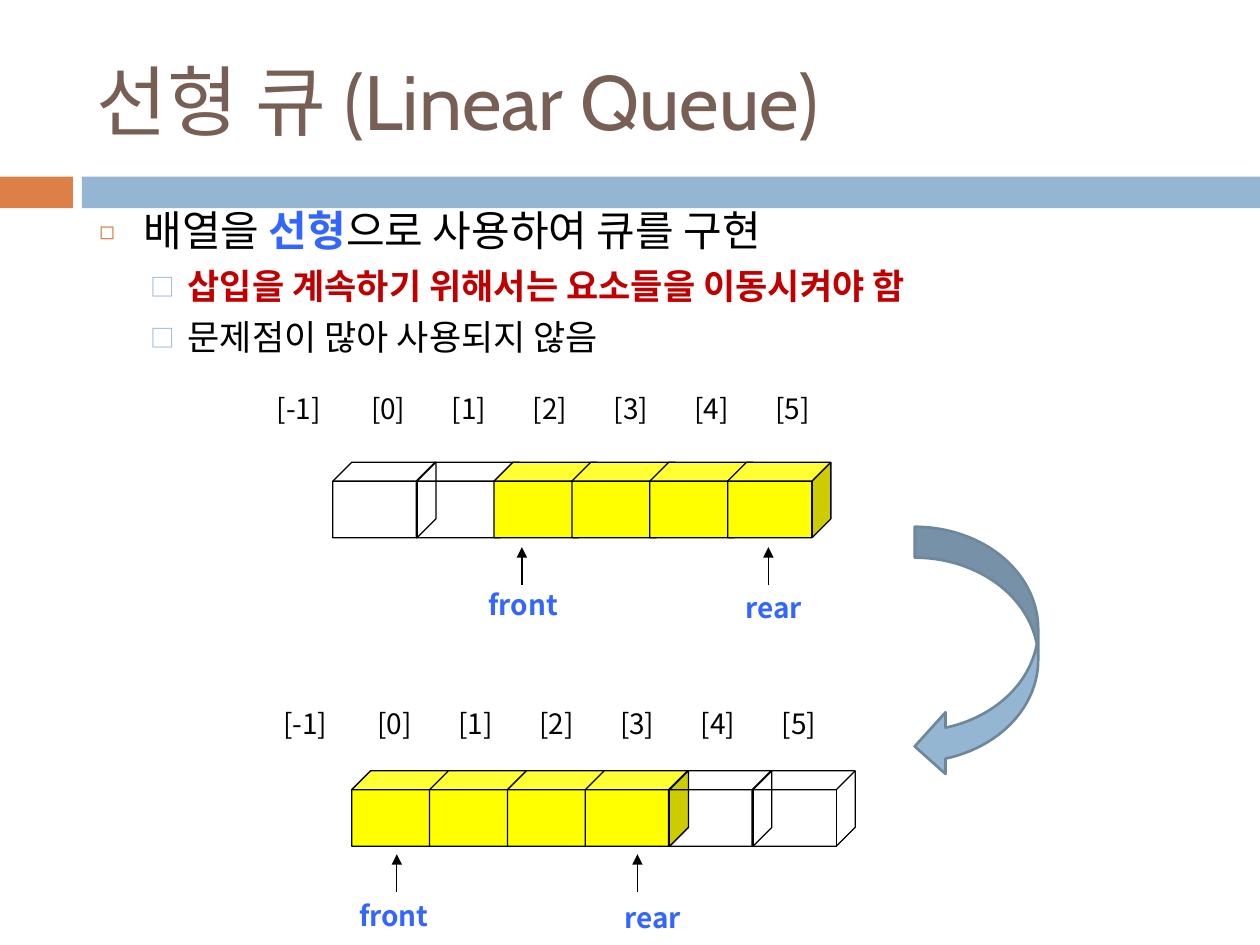
from lxml import etree
from pptx import Presentation
from pptx.dml.color import RGBColor
from pptx.enum.shapes import MSO_CONNECTOR, MSO_SHAPE
from pptx.enum.text import MSO_ANCHOR, MSO_AUTO_SIZE, PP_ALIGN
from pptx.oxml.ns import qn
from pptx.util import Cm, Pt

BLACK, BLUE, RED = "000000", "3366FF", "C00000"
ORANGE, SKY, YELLOW = "DD8047", "94B6D2", "FFFF00"
SANS = "Noto Sans CJK KR"

TITLE = "선형 큐 (Linear Queue)"
# level, runs of (text, colour, bold)
BULLETS = [
    (0, [("배열을 ", BLACK, False), ("선형", BLUE, True),
         ("으로 사용하여 큐를 구현", BLACK, False)]),
    (1, [("삽입을 계속하기 위해서는 요소들을 이동시켜야 함", RED, True)]),
    (1, [("문제점이 많아 사용되지 않음", BLACK, False)]),
]
# size, space before, left margin, hanging, bullet, bullet colour, bullet percent
LEVELS = [
    (24, 0, 0.89, 0.89, "◻", ORANGE, 60),
    (20, 5.5, 1.78, 0.76, "□", SKY, 70),
]
BARS = [(0, 1.47, ORANGE), (1.65, 23.75, SKY)]  # left, width, colour

# Lengths in cm; pointers are name, arrow x, label left, label top, label width
QUEUES = [
    {"filled": [False, False, True, True, True, True],
     "cubes_at": (6.71, 9.32), "labels_at": (5.33, 7.77), "arrow_bottom": 11.79,
     "pointers": [("front", 10.52, 9.6, 11.71, 2.03),
                  ("rear", 15.49, 14.78, 11.79, 1.83)]},
    {"filled": [True, True, True, True, False, False],
     "cubes_at": (7.09, 15.54), "labels_at": (5.46, 14.12), "arrow_bottom": 17.98,
     "pointers": [("front", 8.0, 6.99, 17.98, 2.03),
                  ("rear", 12.85, 12.34, 18.03, 1.83)]},
]
CUBE_WIDTH, CUBE_HEIGHT = 2.08, 1.52
STEP_TO_FILLED, STEP_TO_EMPTY = 1.57, 1.68
FIRST_LABEL_STEP, LABEL_STEP = 1.9, 1.63
LABEL_HEIGHT, ARROW_LENGTH = 0.94, 0.76


def rgb(colour):
    return RGBColor.from_string(colour)


def box(left, top, width, height):
    return Cm(left), Cm(top), Cm(width), Cm(height)


def place(shape, *lengths):
    shape.left, shape.top, shape.width, shape.height = box(*lengths)


def set_font(font, size, latin, colour, bold=False):
    """Format a font, with the Korean glyphs taken from SANS."""
    font.size, font.name, font.bold = Pt(size), latin, bold
    font.color.rgb = rgb(colour)
    east_asian = etree.Element(qn("a:ea"), typeface=SANS)
    font._element.find(qn("a:latin")).addnext(east_asian)


def add_shape(slide, kind, lengths, fill=None, line=None, line_width=0.75):
    shape = slide.shapes.add_shape(kind, *box(*lengths))
    shape.shadow.inherit = False
    if fill:
        shape.fill.solid()
        shape.fill.fore_color.rgb = rgb(fill)
    else:
        shape.fill.background()
    if line:
        shape.line.color.rgb = rgb(line)
        shape.line.width = Pt(line_width)
    else:
        shape.line.fill.background()
    return shape


def add_label(slide, text, left, top, width, colour=BLACK, bold=False):
    frame = slide.shapes.add_textbox(*box(left, top, width, LABEL_HEIGHT)).text_frame
    frame.word_wrap = False
    frame.auto_size = MSO_AUTO_SIZE.SHAPE_TO_FIT_TEXT
    paragraph = frame.paragraphs[0]
    paragraph.text = text
    set_font(paragraph.font, 16, SANS, colour, bold)


def add_up_arrow(slide, x, bottom):
    arrow = slide.shapes.add_connector(
        MSO_CONNECTOR.STRAIGHT, Cm(x), Cm(bottom), Cm(x), Cm(bottom - ARROW_LENGTH))
    arrow.line.color.rgb = rgb(BLACK)
    arrow.line.width = Pt(0.75)
    etree.SubElement(arrow.line._get_or_add_ln(), qn("a:tailEnd"), type="triangle")
    etree.SubElement(arrow._element.spPr, qn("a:effectLst"))


def set_bullet(paragraph, left, hanging, character, colour, percent):
    properties = paragraph._p.get_or_add_pPr()
    properties.set("marL", str(Cm(left)))
    properties.set("indent", str(-Cm(hanging)))
    bullet_colour = etree.SubElement(properties, qn("a:buClr"))
    etree.SubElement(bullet_colour, qn("a:srgbClr"), val=colour)
    etree.SubElement(properties, qn("a:buSzPct"), val=str(percent * 1000))
    etree.SubElement(properties, qn("a:buFont"), typeface=SANS)
    etree.SubElement(properties, qn("a:buChar"), char=character)


def fill_title(title):
    place(title, 1.7, 0.64, 22.66, 2.74)
    frame = title.text_frame
    frame.text = TITLE
    frame.vertical_anchor = MSO_ANCHOR.MIDDLE
    frame.auto_size = MSO_AUTO_SIZE.NONE
    paragraph = frame.paragraphs[0]
    paragraph.alignment = PP_ALIGN.LEFT
    set_font(paragraph.font, 44, "Cabin", "775F55")


def fill_body(body):
    place(body, 1.75, 3.99, 22.66, 12.5)
    frame = body.text_frame
    frame.auto_size = MSO_AUTO_SIZE.NONE
    for index, (level, runs) in enumerate(BULLETS):
        paragraph = frame.add_paragraph() if index else frame.paragraphs[0]
        size, space_before, *bullet = LEVELS[level]
        paragraph.level = level
        paragraph.space_before = Pt(space_before)
        set_bullet(paragraph, *bullet)
        for text, colour, bold in runs:
            run = paragraph.add_run()
            run.text = text
            set_font(run.font, size, "Noto Sans Mono", colour, bold)


def draw_queue(slide, queue):
    left, top = queue["cubes_at"]
    for index, filled in enumerate(queue["filled"]):
        if index:
            left += STEP_TO_FILLED if filled else STEP_TO_EMPTY
        add_shape(slide, MSO_SHAPE.CUBE, (left, top, CUBE_WIDTH, CUBE_HEIGHT),
                  YELLOW if filled else None, BLACK)

    left, top = queue["labels_at"]
    add_label(slide, "[-1]", left, top, 1.65)
    for index in range(len(queue["filled"])):
        add_label(slide, f"[{index}]",
                  left + FIRST_LABEL_STEP + index * LABEL_STEP, top, 1.32)

    for name, x, left, top, width in queue["pointers"]:
        add_up_arrow(slide, x, queue["arrow_bottom"])
        add_label(slide, name, left, top, width, BLUE, True)


def main():
    presentation = Presentation()
    presentation.slide_width, presentation.slide_height = Cm(25.4), Cm(19.05)
    slide = presentation.slides.add_slide(presentation.slide_layouts[1])
    fill_title(slide.shapes.title)
    fill_body(slide.placeholders[1])

    for left, width, colour in BARS:
        bar = add_shape(slide, MSO_SHAPE.RECTANGLE, (left, 3.56, width, 0.64), colour)
        slide.shapes._spTree.insert(2, bar._element)  # behind the text

    for queue in QUEUES:
        draw_queue(slide, queue)
    add_shape(slide, MSO_SHAPE.CURVED_LEFT_ARROW, (18.44, 10.62, 2.49, 5.05),
              SKY, "6D879B", 1.5)
    presentation.save("out.pptx")


if __name__ == "__main__":
    main()
